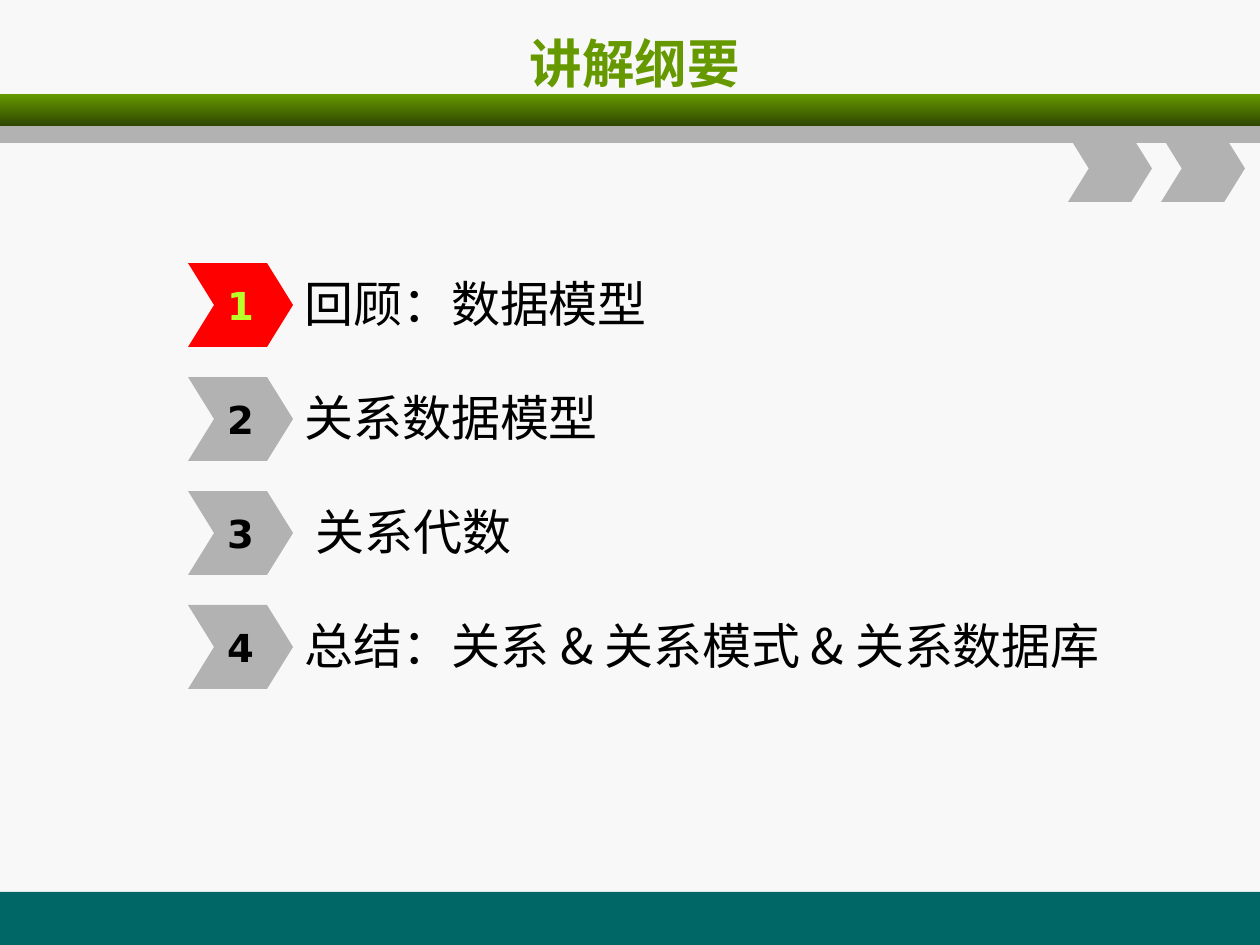
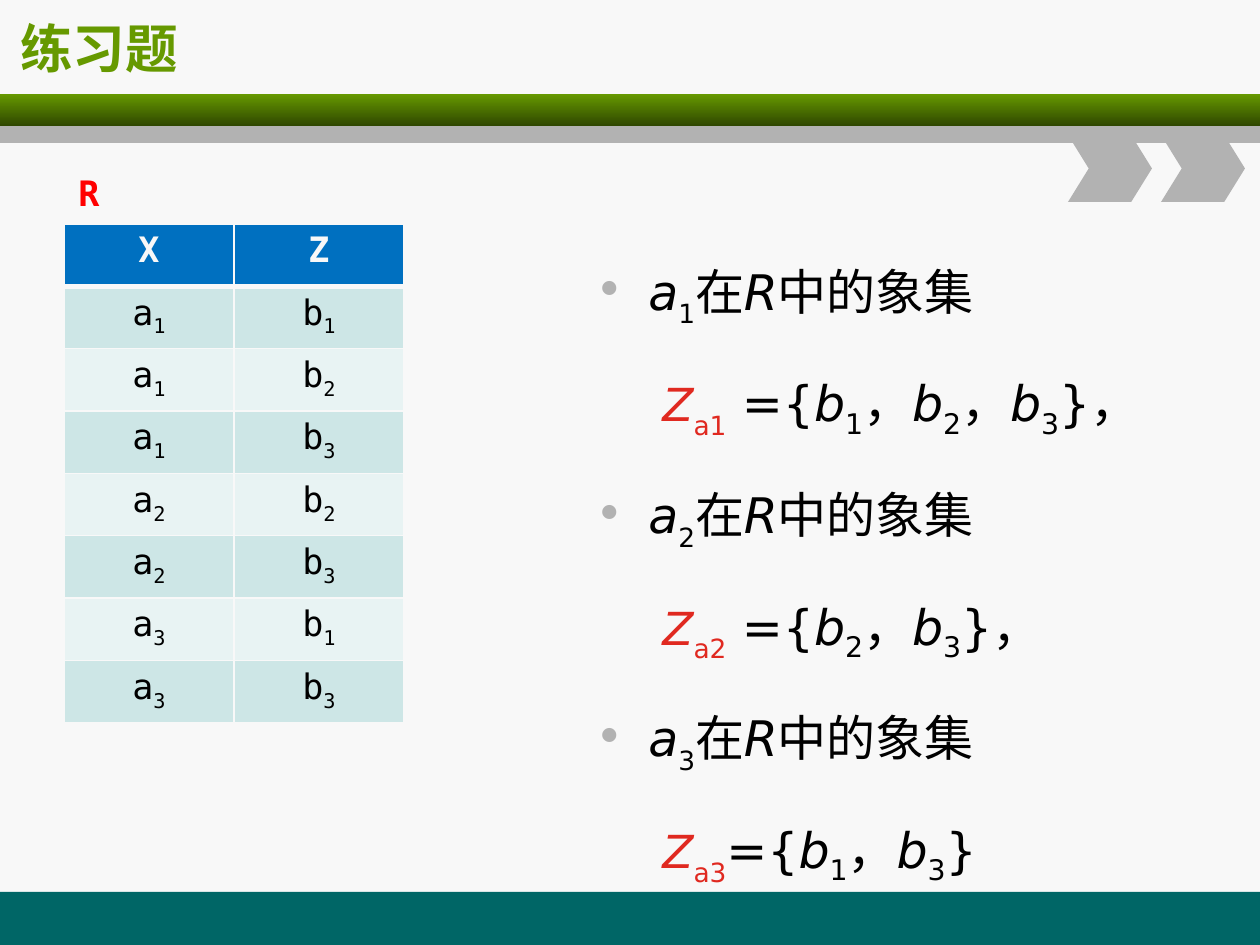
"""Build an outline slide and an exercise slide on relational image sets."""
import lxml.etree
import pptx
import pptx.dml.color
import pptx.enum.shapes
import pptx.enum.text
import pptx.oxml.ns
import pptx.util

PX = 7257
GREEN, DARK_GREEN, TEAL, GREY = "669900", "2F4700", "006666", "B2B2B2"
PAPER, BLACK, RED, CRIMSON, BLUE = "F8F8F8", "000000", "FF0000", "E02920", "0070C0"
SANS, MONO, CHINESE = "DejaVu Sans", "DejaVu Sans Mono", "Noto Sans CJK JP"
colour = pptx.dml.color.RGBColor.from_string
qn = pptx.oxml.ns.qn
element = lxml.etree.SubElement
Pt = pptx.util.Pt
shapes = pptx.enum.shapes.MSO_SHAPE
align = pptx.enum.text.PP_ALIGN
middle = pptx.enum.text.MSO_ANCHOR.MIDDLE


def place(page, at, kind=None, fill=None, wrap=True, anchor=None):
    """Add a text box, or a filled preset shape when a kind is given."""
    bounds = [length * PX for length in at]
    if kind is None:
        box = page.shapes.add_textbox(*bounds)
    else:
        box = page.shapes.add_shape(kind, *bounds)
        box.shadow.inherit = False
        box.line.fill.background()
        box.fill.solid()
        box.fill.fore_color.rgb = colour(fill)
        if kind == shapes.CHEVRON:
            box.adjustments[0] = 0.31
    box.text_frame.word_wrap = wrap
    if anchor is not None:
        box.text_frame.vertical_anchor = anchor
    return box


def write(para, pieces, alignment=align.LEFT, **base):
    """Append runs to a paragraph, each with its changes to the base format."""
    para.alignment = alignment
    for text, changes in pieces:
        span = para.add_run()
        span.text = text
        look = {"name": SANS, "color": BLACK, "shift": 0, **base, **changes}
        span.font.color.rgb = colour(look.pop("color"))
        shift = look.pop("shift")
        for key, value in look.items():
            setattr(span.font, key, value)
        props = span._r.get_or_add_rPr()
        props.set("lang", "zh-CN")
        if shift:
            props.set("baseline", str(shift * 1000))
        element(props, qn("a:ea"), typeface=CHINESE)


deck = pptx.Presentation()
deck.slide_width, deck.slide_height = 1260 * PX, 945 * PX

pages = []
for title, title_at, title_align in [
    ("讲解纲要", (68, 21, 1134, 84), align.CENTER),
    ("练习题", (8, 5, 1203, 84), align.LEFT),
]:
    page = deck.slides.add_slide(deck.slide_layouts[6])
    page.background.fill.solid()
    page.background.fill.fore_color.rgb = colour(PAPER)
    place(page, (0, 892, 1260, 53), shapes.RECTANGLE, TEAL)
    band = place(page, (0, 94, 1260, 32), shapes.RECTANGLE, GREEN)
    band.fill.gradient()
    band.fill.gradient_angle = 270
    for stop, shade in zip(band.fill.gradient_stops, (GREEN, DARK_GREEN)):
        stop.color.rgb = colour(shade)
    place(page, (0, 126, 1260, 17), shapes.RECTANGLE, GREY)
    for left in (1068, 1161):
        place(page, (left, 135, 84, 67), shapes.CHEVRON, GREY)
    box = place(page, title_at, anchor=middle)
    write(box.text_frame.paragraphs[0], [(title, {})], title_align,
          size=Pt(30), bold=True, color=GREEN)
    pages.append(page)
outline, exercise = pages

topics = [
    ("回顾：数据模型", 746),
    ("关系数据模型", 746),
    (" 关系代数", 746),
    ("总结：关系 & 关系模式 & 关系数据库", 840),
]
for index, (topic, width) in enumerate(topics):
    top = 263 + 114 * index
    current = index == 0
    box = place(outline, (292, top + 3, width, 73), wrap=False, anchor=middle)
    write(box.text_frame.paragraphs[0], [(topic, {})], size=Pt(28), name=CHINESE)
    marker = place(outline, (188, top, 105, 84), shapes.CHEVRON,
                   RED if current else GREY, wrap=False, anchor=middle)
    write(marker.text_frame.paragraphs[0], [(str(index + 1), {})], align.CENTER,
          size=Pt(22), bold=True, color="B8FF29" if current else BLACK)

image_sets = {1: [1, 2, 3], 2: [2, 3], 3: [1, 3]}
italic = {"italic": True}
box = place(exercise, (588, 221, 628, 620))
lines = []
for number, members in image_sets.items():
    last = number == len(image_sets)
    lines.append((True, [
        ("a", italic), (str(number), {"size": Pt(26), "shift": -30}),
        ("在", {}), ("R", italic), ("中的象集", {}),
    ]))
    formula = [
        ("Z", {"size": Pt(26), "color": CRIMSON, "italic": True}),
        (f"a{number}", {"size": Pt(26), "color": CRIMSON, "shift": -30}),
        ("={" if last else " ={", {}),
    ]
    for member in members:
        closing = "，" if member != members[-1] else "}" if last else "}，"
        formula += [("b", italic), (str(member), {"shift": -25}), (closing, {})]
    lines.append((False, formula))

frame = box.text_frame
for index, (bulleted, pieces) in enumerate(lines):
    para = frame.add_paragraph() if index else frame.paragraphs[0]
    write(para, pieces, size=Pt(28))
    para.line_spacing = 1.5
    props = para._p.get_or_add_pPr()
    props.set("marL", str((48 if bulleted else 62) * PX))
    props.set("indent", str(-48 * PX if bulleted else 0))
    element(element(props, qn("a:spcBef")), qn("a:spcPct"), val="20000")
    if bulleted:
        element(element(props, qn("a:buClr")), qn("a:srgbClr"), val=GREY)
        element(props, qn("a:buSzPct"), val="110000")
        element(props, qn("a:buChar"), char="•")

pairs = [(f"a{number}", f"b{member}")
         for number, members in image_sets.items() for member in members]
rows = [("X", "Z")] + pairs
bounds = [length * PX for length in (64, 224, 340, 499)]
table = exercise.shapes.add_table(len(rows), 2, *bounds).table
table.first_row = table.horz_banding = False
for row, values in enumerate(rows):
    header = row == 0
    for column, value in enumerate(values):
        cell = table.cell(row, column)
        pieces = [(value[0], {})]
        if not header:
            pieces.append((value[1], {"shift": -25}))
        write(cell.text_frame.paragraphs[0], pieces, align.CENTER, size=Pt(20),
              name=MONO, bold=header, color=PAPER if header else BLACK)
        props = cell._tc.get_or_add_tcPr()
        for side in "LRTB":
            thick = (header and side == "B") or (row == 1 and side == "T")
            edge = element(props, qn(f"a:ln{side}"), w=str(Pt(3 if thick else 1)))
            element(element(edge, qn("a:solidFill")), qn("a:srgbClr"), val=PAPER)
        cell.fill.solid()
        cell.fill.fore_color.rgb = colour(
            BLUE if header else "CDE6E6" if row % 2 else "E8F3F3")

box = place(exercise, (64, 165, 48, 55), wrap=False)
write(box.text_frame.paragraphs[0], [("R", {})], align.RIGHT,
      size=Pt(20), name=MONO, bold=True, color=RED)

deck.save("out.pptx")
